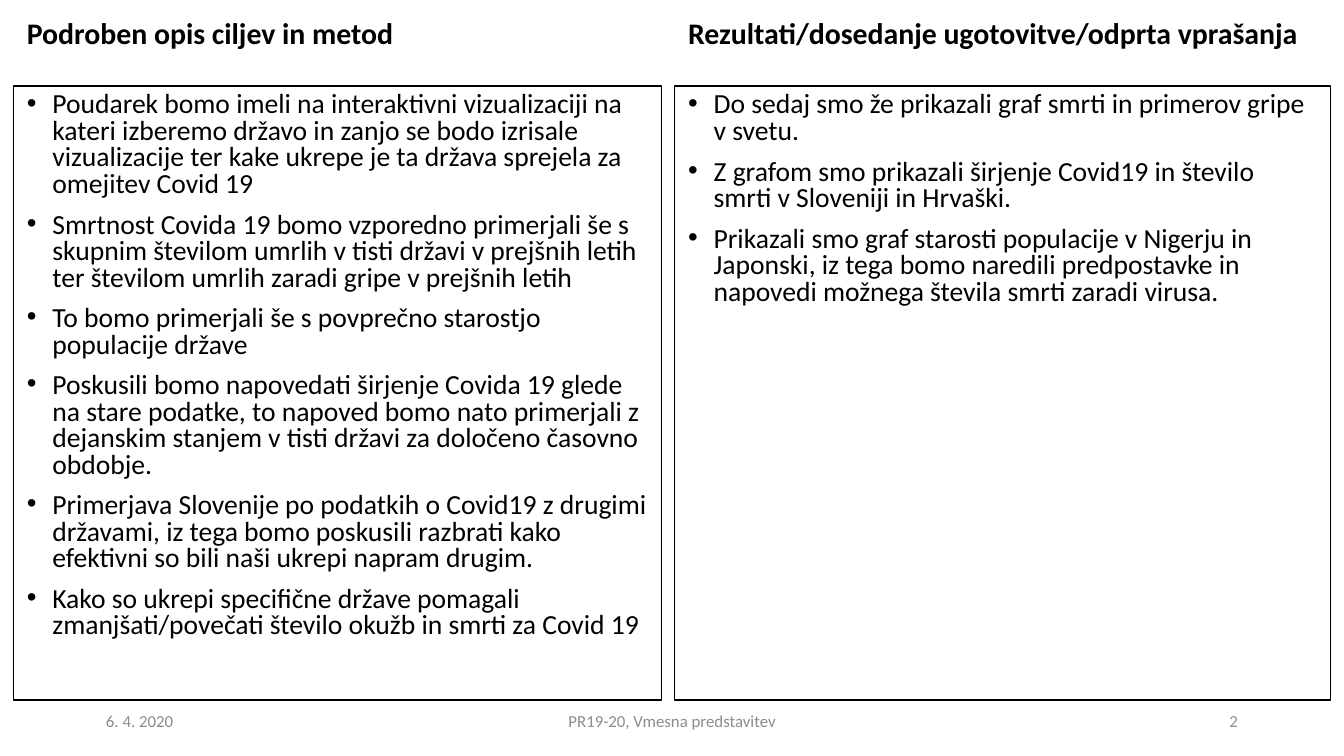
from dataclasses import dataclass

import pptx
import pptx.dml.color
import pptx.enum.text
import pptx.util
from lxml import etree
from pptx.oxml.ns import qn
from pptx.util import Inches, Pt

ALIGN = pptx.enum.text.PP_ALIGN
ANCHOR = pptx.enum.text.MSO_ANCHOR


@dataclass(frozen=True)
class Theme:
    font: str = "Calibri"
    ink: str = "000000"
    muted: str = "8C8C8C"
    heading_size: float = 16
    body_size: float = 14.8
    footer_size: float = 9
    space_before: float = 7.5
    border: float = 0.75


@dataclass(frozen=True)
class Column:
    heading: str
    points: tuple[str, ...]
    left: float
    width: float
    heading_idx: int
    body_idx: int


@dataclass(frozen=True)
class FooterItem:
    text: str
    left: float
    width: float
    align: ALIGN


THEME = Theme()
SLIDE_WIDTH = Inches(10)
SLIDE_HEIGHT = SLIDE_WIDTH * 9 // 16
HEADING_TOP, HEADING_HEIGHT = 0.09, 0.41
BODY_TOP, BODY_HEIGHT = 0.64, 4.57
FOOTER_TOP, FOOTER_HEIGHT = 5.21, 0.3
BULLET_INDENT = 0.19

COLUMNS = (
    Column("Podroben opis ciljev in metod", (
        "Poudarek bomo imeli na interaktivni vizualizaciji na kateri izberemo državo in zanjo "
        "se bodo izrisale vizualizacije ter kake ukrepe je ta država sprejela za omejitev Covid 19",
        "Smrtnost Covida 19 bomo vzporedno primerjali še s skupnim številom umrlih v tisti državi "
        "v prejšnih letih ter številom umrlih zaradi gripe v prejšnih letih",
        "To bomo primerjali še s povprečno starostjo populacije države ",
        "Poskusili bomo napovedati širjenje Covida 19 glede na stare podatke, to napoved bomo nato "
        "primerjali z dejanskim stanjem v tisti državi za določeno časovno obdobje.",
        "Primerjava Slovenije po podatkih o Covid19 z drugimi državami, iz tega bomo poskusili "
        "razbrati kako efektivni so bili naši ukrepi napram drugim.",
        "Kako so ukrepi specifične države pomagali zmanjšati/povečati število okužb in smrti "
        "za Covid 19",
    ), 0.1, 4.82, 1, 2),
    Column("Rezultati/dosedanje ugotovitve/odprta vprašanja", (
        "Do sedaj smo že prikazali graf smrti in primerov gripe v svetu. ",
        "Z grafom smo prikazali širjenje Covid19 in število smrti v Sloveniji in Hrvaški. ",
        "Prikazali smo graf starosti populacije v Nigerju in Japonski, iz tega bomo naredili "
        "predpostavke in napovedi možnega števila smrti zaradi virusa.",
    ), 5.02, 4.88, 3, 4),
)

FOOTER = (
    FooterItem("6. 4. 2020", 0.69, 2.25, ALIGN.LEFT),
    FooterItem("PR19-20, Vmesna predstavitev", 3.31, 3.38, ALIGN.CENTER),
    FooterItem("2", 7.06, 2.25, ALIGN.RIGHT),
)


def rgb(value: str) -> pptx.dml.color.RGBColor:
    return pptx.dml.color.RGBColor.from_string(value)


def place(shape, left: float, top: float, width: float, height: float) -> None:
    shape.left, shape.top = Inches(left), Inches(top)
    shape.width, shape.height = Inches(width), Inches(height)


def prepare_frame(shape, anchor: ANCHOR):
    frame = shape.text_frame
    frame.word_wrap = True
    frame.auto_size = pptx.enum.text.MSO_AUTO_SIZE.NONE
    frame.vertical_anchor = anchor
    frame.margin_left = frame.margin_right = Inches(0.1)
    frame.margin_top = frame.margin_bottom = Inches(0.05)
    return frame


def style(paragraph, size: float, color: str, bold: bool = False) -> None:
    font = paragraph.font
    font.name, font.size, font.bold = THEME.font, Pt(size), bold
    font.color.rgb = rgb(color)


def space(paragraph, line_spacing: float) -> None:
    paragraph.line_spacing = line_spacing
    paragraph.space_before = Pt(THEME.space_before)


def add_bullet(paragraph) -> None:
    properties = paragraph._p.get_or_add_pPr()
    properties.set("marL", str(Inches(BULLET_INDENT)))
    properties.set("indent", str(-Inches(BULLET_INDENT)))
    etree.SubElement(properties, qn("a:buFont")).set("typeface", "Arial")
    etree.SubElement(properties, qn("a:buChar")).set("char", "•")


def draw_column(slide, column: Column) -> None:
    places = {item.placeholder_format.idx: item for item in slide.placeholders}

    # Bordered list
    body = places[column.body_idx]
    place(body, column.left, BODY_TOP, column.width, BODY_HEIGHT)
    body.line.color.rgb = rgb(THEME.ink)
    body.line.width = Pt(THEME.border)
    frame = prepare_frame(body, ANCHOR.TOP)
    frame.text = "\n".join(column.points)
    for point in frame.paragraphs:
        space(point, 0.8)
        add_bullet(point)
        style(point, THEME.body_size, THEME.ink)

    # Heading above the list
    heading = places[column.heading_idx]
    place(heading, column.left, HEADING_TOP, column.width, HEADING_HEIGHT)
    frame = prepare_frame(heading, ANCHOR.TOP)
    frame.text = column.heading
    space(frame.paragraphs[0], 0.9)
    style(frame.paragraphs[0], THEME.heading_size, THEME.ink, bold=True)


def draw_footer_item(slide, item: FooterItem) -> None:
    box = slide.shapes.add_textbox(Inches(item.left), Inches(FOOTER_TOP),
                                   Inches(item.width), Inches(FOOTER_HEIGHT))
    frame = prepare_frame(box, ANCHOR.MIDDLE)
    frame.text = item.text
    frame.paragraphs[0].alignment = item.align
    style(frame.paragraphs[0], THEME.footer_size, THEME.muted)


def main() -> None:
    presentation = pptx.Presentation()
    presentation.slide_width, presentation.slide_height = SLIDE_WIDTH, SLIDE_HEIGHT

    # The comparison layout has two headings and two lists; its title is unused
    slide = presentation.slides.add_slide(presentation.slide_layouts.get_by_name("Comparison"))
    title = slide.shapes.title.element
    title.getparent().remove(title)

    for column in COLUMNS:
        draw_column(slide, column)
    for item in FOOTER:
        draw_footer_item(slide, item)
    presentation.save("out.pptx")


main()
